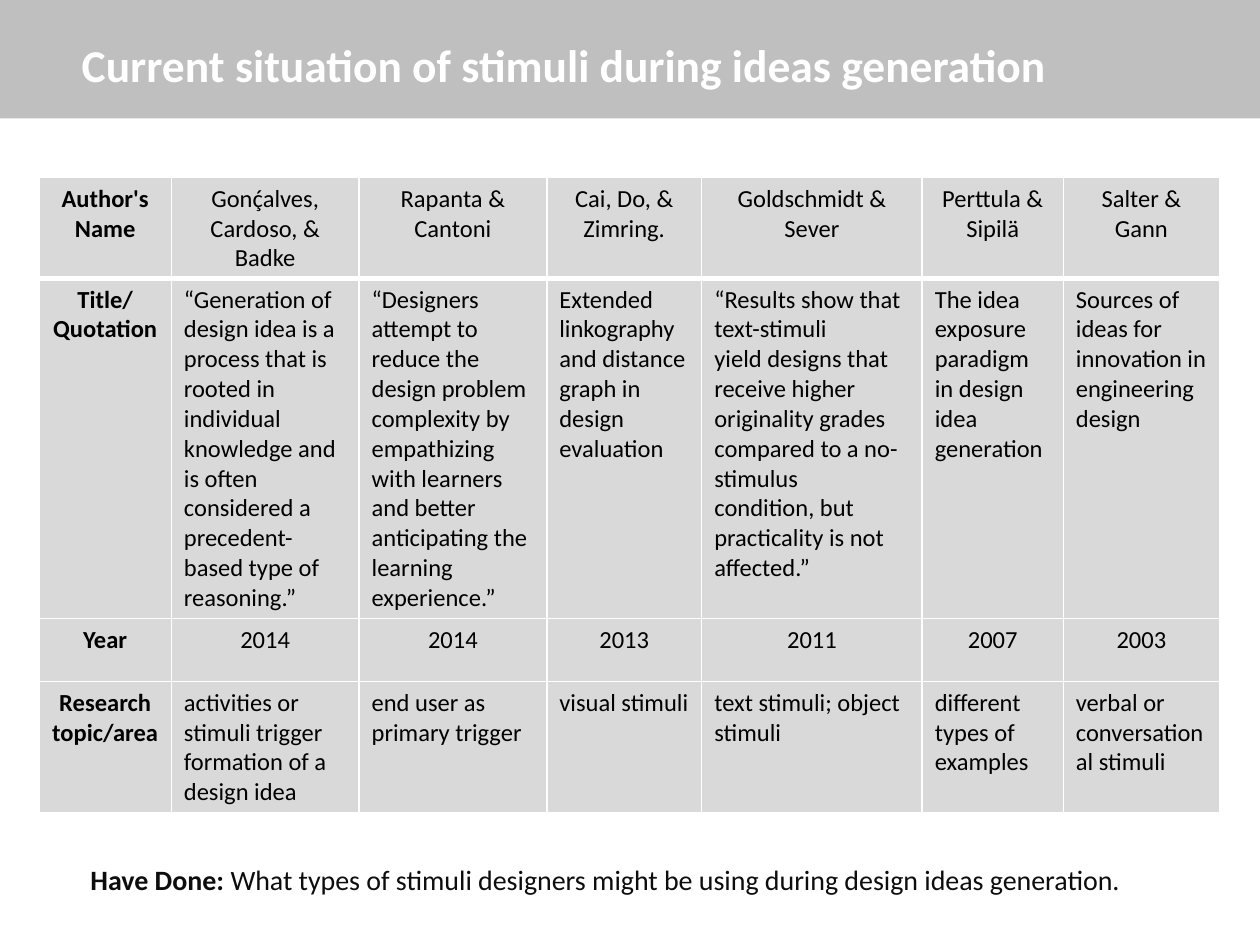
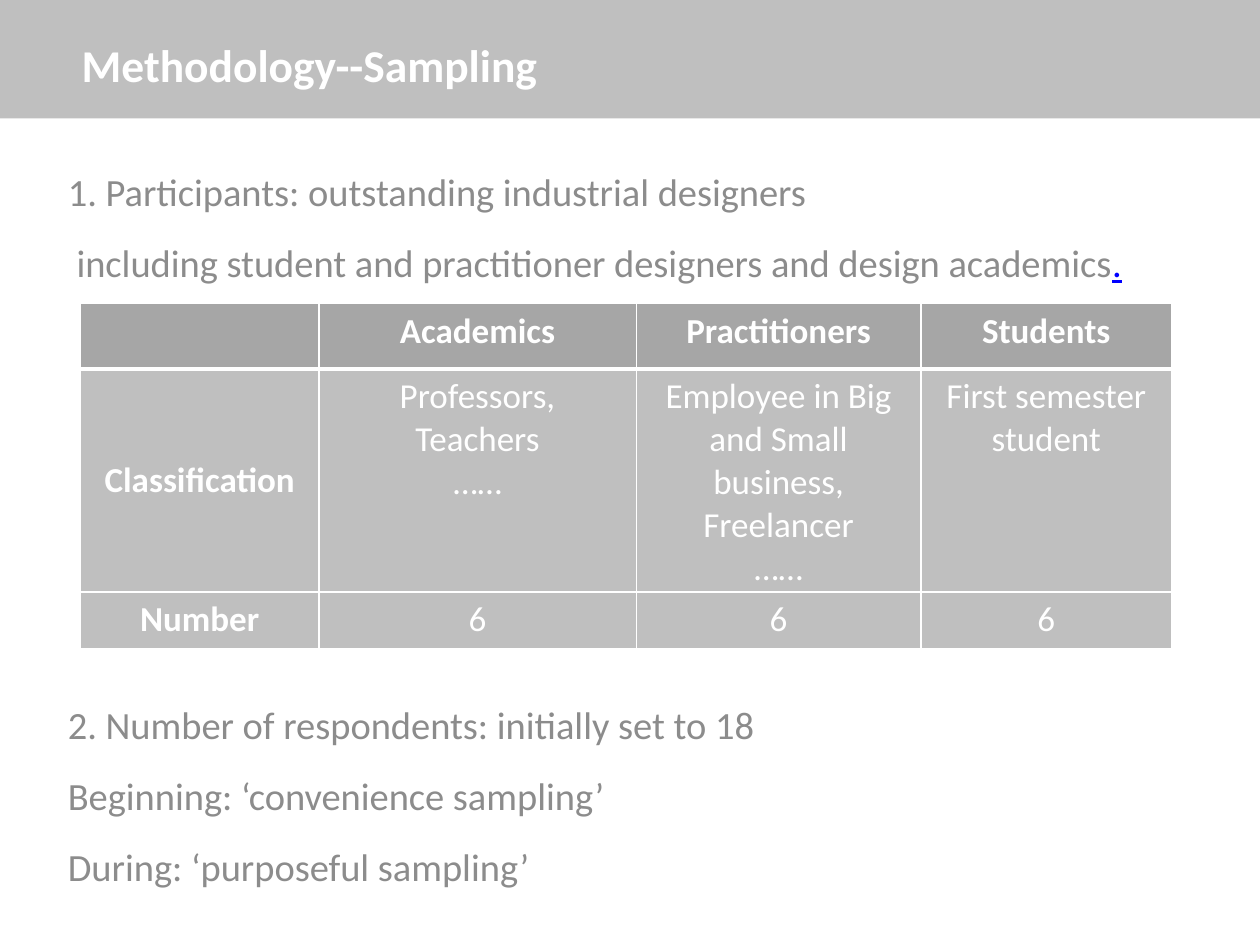
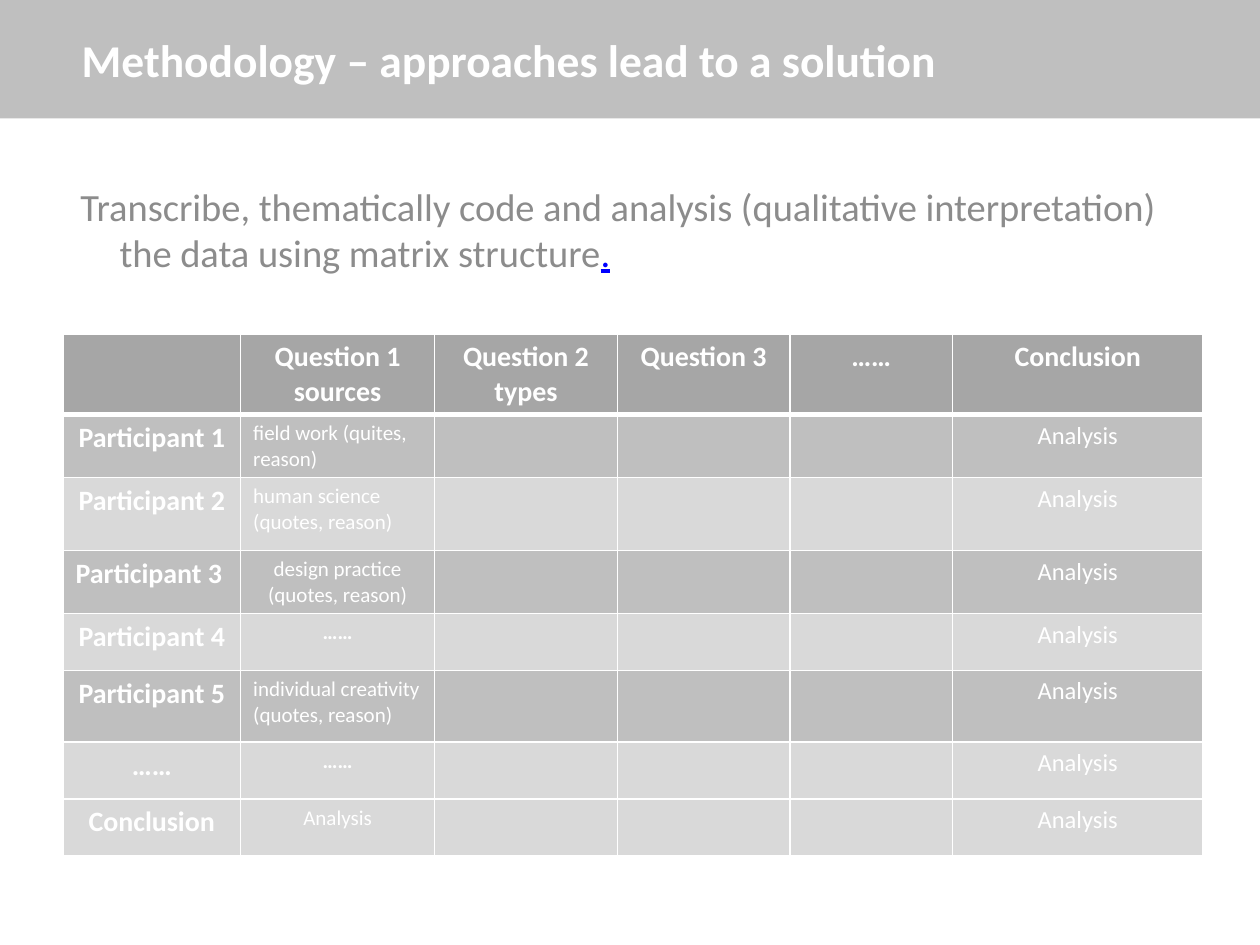
from pptx import Presentation
from pptx.dml.color import RGBColor
from pptx.enum import shapes, text
from pptx.oxml import ns, xmlchemy
from pptx.util import Inches, Pt

COLORS = {
    "white": "FFFFFF",
    "black": "000000",
    "ink": "0D0D0D",
    "body": "8C8C8C",
    "link": "0000FF",
    "light": "D9D9D9",
    "band": "BFBFBF",
    "header": "A6A6A6",
}
LINK = {"color": "link", "underline": True}


def rgb(name):
    return RGBColor.from_string(COLORS[name])


class Deck:
    font_name = "Calibri"

    def __init__(self):
        self.presentation = Presentation()
        self.presentation.slide_width = Inches(10)
        self.presentation.slide_height = Inches(7.5)
        self.slide = None

    def new_slide(self, title, top=0.08, height=0.86):
        self.slide = self.presentation.slides.add_slide(self.presentation.slide_layouts[6])
        band = self.slide.shapes.add_shape(
            shapes.MSO_SHAPE.RECTANGLE, 0, 0, self.presentation.slide_width, Inches(0.94))
        band.shadow.inherit = False
        band.fill.solid()
        band.fill.fore_color.rgb = rgb("band")
        band.line.fill.background()
        frame = self.text_box(0.55, top, 8.59, height, [[(title, {})]], 26, "white", bold=True)
        frame.vertical_anchor = text.MSO_ANCHOR.MIDDLE

    def set_font(self, font, size, color, bold=False):
        font.name = self.font_name
        font.size = Pt(size)
        font.bold = bold
        font.color.rgb = rgb(color)

    def text_box(self, left, top, width, height, paragraphs, size, color, bold=False):
        box = self.slide.shapes.add_textbox(
            Inches(left), Inches(top), Inches(width), Inches(height))
        frame = box.text_frame
        frame.word_wrap = True
        for index, runs in enumerate(paragraphs):
            paragraph = frame.add_paragraph() if index else frame.paragraphs[0]
            self.set_font(paragraph.font, size, color, bold)
            for words, changes in runs:
                run = paragraph.add_run()
                run.text = words
                self.set_font(run.font, size, changes.get("color", color),
                              changes.get("bold", bold))
                if "underline" in changes:
                    run.font.underline = True
        return frame

    def list_box(self, top, height, paragraphs):
        frame = self.text_box(0.44, top, 9.22, height, paragraphs, 22, "body")
        for paragraph in frame.paragraphs:
            paragraph.line_spacing = 1.4
            paragraph.space_before = Pt(3.5)

    def set_borders(self, cell, row):
        widths = {"L": 1, "R": 1, "T": 3 if row == 1 else 1, "B": 3 if row == 0 else 1}
        properties = cell._tc.get_or_add_tcPr()
        for position, (side, width) in enumerate(widths.items()):
            line = xmlchemy.OxmlElement(f"a:ln{side}")
            line.set("w", str(Pt(width)))
            fill = xmlchemy.OxmlElement("a:solidFill")
            color = xmlchemy.OxmlElement("a:srgbClr")
            color.set("val", COLORS["white"])
            fill.append(color)
            line.append(fill)
            properties.insert(position, line)

    def table(self, left, top, widths, heights, rows, style, color):
        table = self.slide.shapes.add_table(
            len(rows), len(widths), Inches(left), Inches(top),
            Inches(sum(widths)), Inches(sum(heights))).table
        table.horz_banding = False
        for column, width in zip(table.columns, widths):
            column.width = Inches(width)
        for table_row, height in zip(table.rows, heights):
            table_row.height = Inches(height)
        for row, values in enumerate(rows):
            for column, value in enumerate(values):
                fill, size, bold, centered = style(row, column, value)
                cell = table.cell(row, column)
                cell.fill.solid()
                cell.fill.fore_color.rgb = rgb(fill)
                self.set_borders(cell, row)
                cell.text = value
                for paragraph in cell.text_frame.paragraphs:
                    self.set_font(paragraph.font, size, color, bold)
                    if centered:
                        paragraph.alignment = text.PP_ALIGN.CENTER
        return table


def literature_style(row, column, value):
    return "light", 14, column == 0, column == 0 or row in (0, 2)


def sampling_style(row, column, value):
    return "band" if row else "header", 20, row == 0 or column == 0, True


def matrix_style(row, column, value):
    fill = "header" if row == 0 else "band" if row in (1, 3, 5) else "light"
    heading = row == 0 or column == 0
    size = 16 if heading else 14 if column == 5 else 12
    left_aligned = (row, column) in {(1, 1), (2, 1), (5, 1), (3, 0)}
    return fill, size, heading or value == "……", not left_aligned


def add_literature(deck):
    deck.new_slide("Current situation of stimuli during ideas generation")
    deck.table(0.31, 1.41, [1.05, 1.49, 1.49, 1.23, 1.75, 1.12, 1.24], [0.8, 2.7, 0.5, 1.04], [
        ["Author's Name", "Gonḉalves, Cardoso, & Badke", "Rapanta &\nCantoni",
         "Cai, Do, & Zimring.", "Goldschmidt & Sever", "Perttula & Sipilä", "Salter & Gann"],
        ["Title/Quotation",
         "“Generation of design idea is a process that is rooted in individual knowledge "
         "and is often considered a precedent-based type of reasoning.”",
         "“Designers attempt to reduce the design problem complexity by\n"
         "empathizing with learners and better anticipating the learning experience.”",
         "Extended linkography and distance graph in design evaluation",
         "“Results show that text-stimuli\n"
         "yield designs that receive higher originality grades compared to a no-stimulus\n"
         "condition, but practicality is not affected.”",
         "The idea exposure paradigm in design idea generation",
         "Sources of ideas for innovation in engineering design"],
        ["Year", "2014", "2014", "2013", "2011", "2007", "2003"],
        ["Research topic/area", "activities or stimuli trigger formation of a design idea",
         "end user as primary trigger", "visual stimuli", "text stimuli; object stimuli",
         "different types of examples", "verbal or conversational stimuli"],
    ], literature_style, "black")
    deck.text_box(0.62, 6.8, 8.83, 0.37, [[
        ("Have Done: ", {"bold": True}),
        ("What types of stimuli designers might be using during design ideas generation.", {}),
    ]], 16, "ink")


def add_sampling(deck):
    deck.new_slide("Methodology--Sampling")
    deck.list_box(1.14, 1.2, [
        [("1. Participants: outstanding industrial designers", {})],
        [(" including student and practitioner designers and design academics", {}), (".", LINK)],
    ])
    table = deck.table(0.64, 2.41, [1.89, 2.52, 2.26, 1.99], [0.52, 1.76, 0.45], [
        ["", "Academics", "Practitioners", "Students"],
        ["Classification", "Professors,\nTeachers\n……",
         "Employee in Big and Small business,\nFreelancer\n……", "First semester\nstudent"],
        ["Number", "6", "6", "6"],
    ], sampling_style, "white")
    table.cell(1, 0).vertical_anchor = text.MSO_ANCHOR.MIDDLE
    deck.list_box(5.37, 1.79, [
        [("2. Number of respondents: initially set to 18", {})],
        [("Beginning: ‘convenience sampling’", {})],
        [("During: ‘purposeful sampling’", {})],
    ])


def add_matrix(deck):
    deck.new_slide("Methodology – approaches lead to a solution", 0.16, 0.62)
    sources = {
        "Participant 1": "field work (quites, reason)",
        "Participant 2": "human science (quotes, reason)",
        "Participant 3": "design practice (quotes, reason)",
        "Participant 4": "……",
        "Participant 5": "individual creativity (quotes, reason)",
        "……": "……",
        "Conclusion": "Analysis",
    }
    header = ["", "Question 1 sources", "Question 2\ntypes", "Question 3", "……", "Conclusion"]
    rows = [[name, source, "", "", "", "Analysis"] for name, source in sources.items()]
    deck.table(0.5, 2.65, [1.41, 1.54, 1.45, 1.37, 1.29, 1.99],
               [0.64, 0.5, 0.58, 0.5, 0.45, 0.57, 0.45, 0.45],
               [header] + rows, matrix_style, "white")
    frame = deck.text_box(0.47, 1.4, 8.91, 0.7, [[
        (" Transcribe, thematically code and analysis (qualitative interpretation) "
         "the data using matrix structure", {}),
        (".", LINK),
    ]], 22, "body")
    paragraph = frame.paragraphs[0]
    paragraph.space_before = paragraph.space_after = Pt(6)
    properties = paragraph._p.get_or_add_pPr()
    properties.set("marL", str(Inches(0.38)))
    properties.set("indent", str(Inches(-0.38)))


def main():
    deck = Deck()
    add_literature(deck)
    add_sampling(deck)
    add_matrix(deck)
    deck.presentation.save("out.pptx")


if __name__ == "__main__":
    main()
